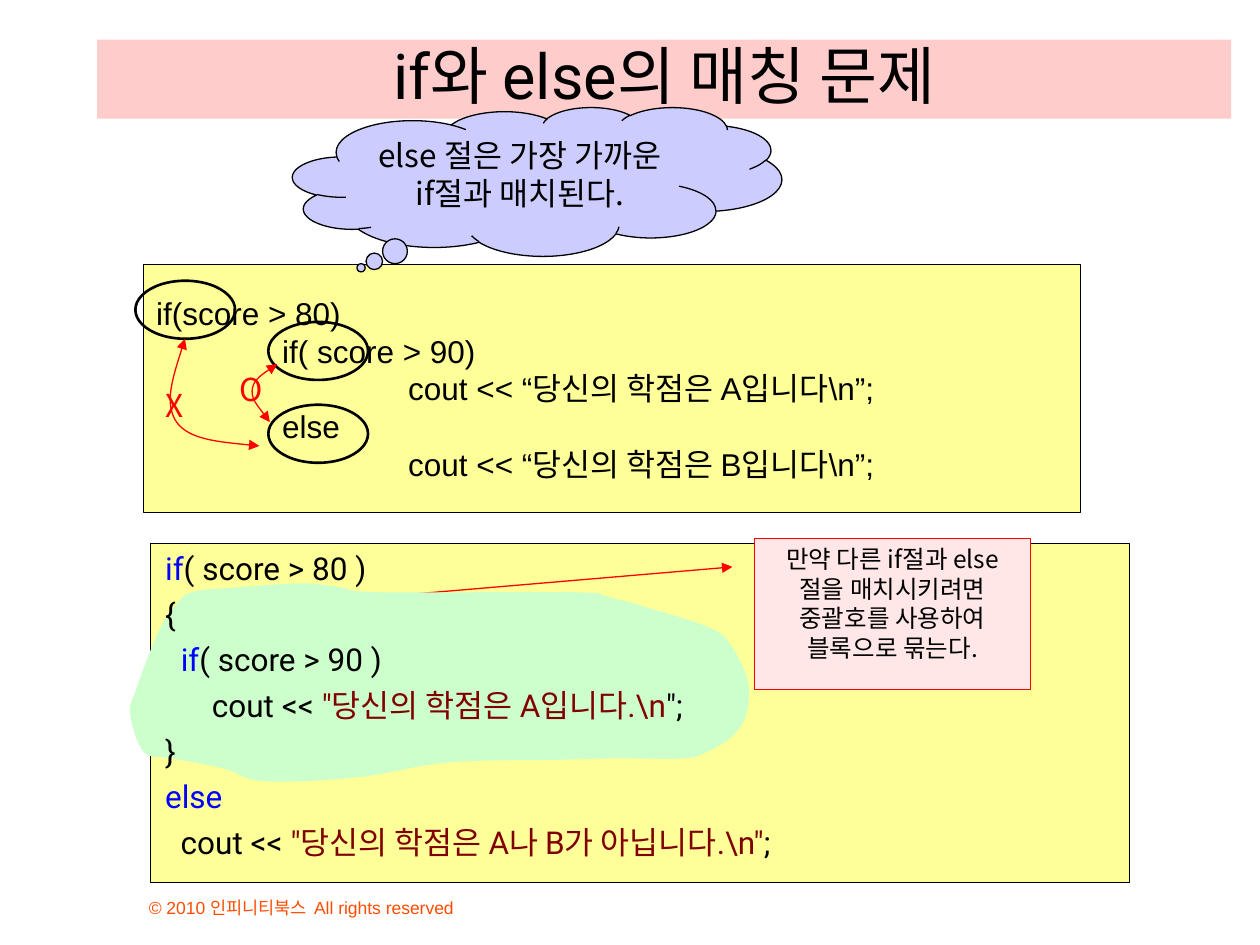
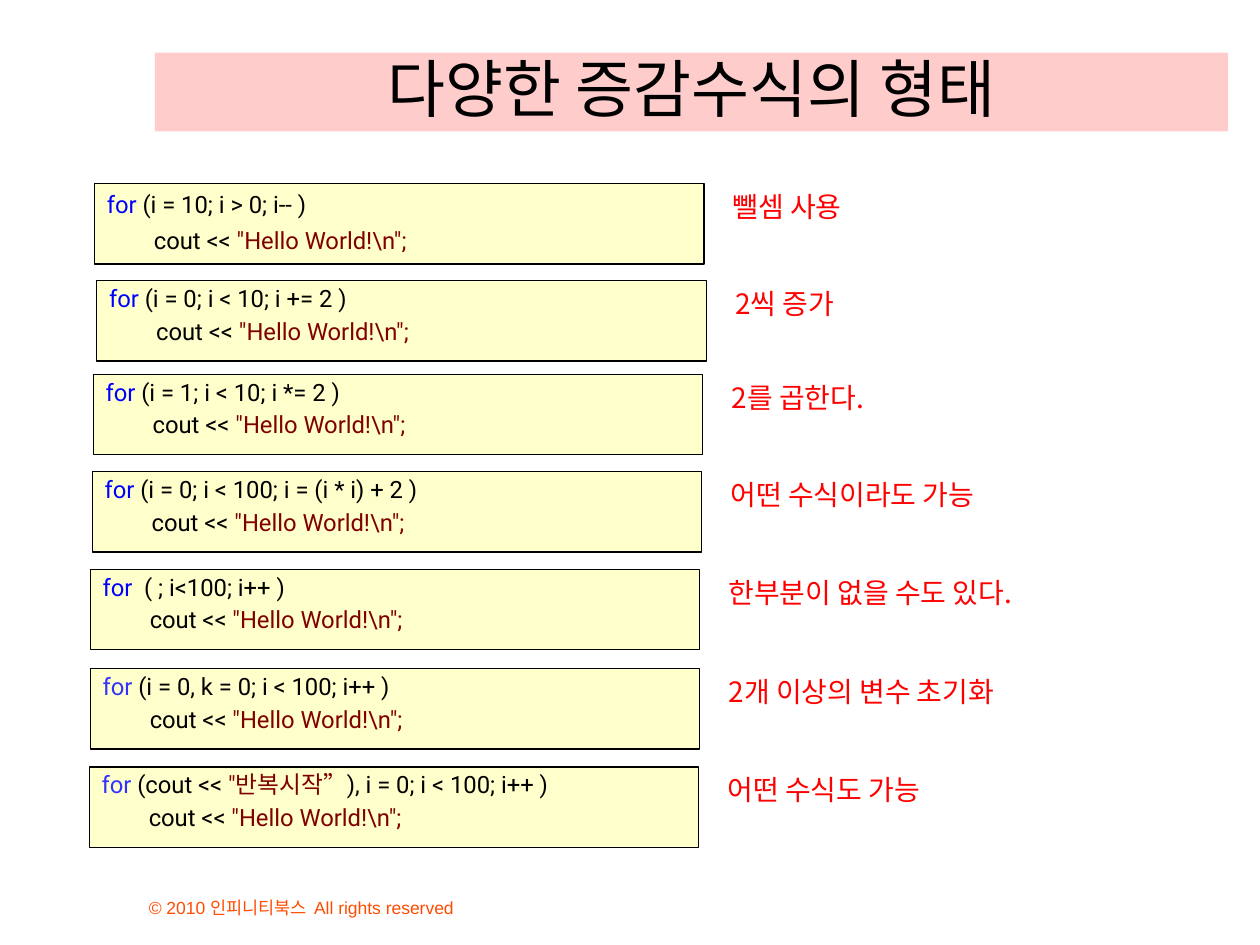
from lxml import etree
from pptx import Presentation
from pptx.dml.color import RGBColor
from pptx.enum import shapes, text
from pptx.oxml import ns
from pptx.util import Cm, Pt

BLACK, RED, BLUE, PALE_BLUE, MAROON = "000000", "FF0000", "0000FF", "3333FF", "800000"
PINK, ROSE, YELLOW, CREAM = "FFCCCC", "FFE7E7", "FFFF99", "FFFFCC"
LILAC, MINT, ORANGE = "CCCCFF", "CCFFCC", "FF4C00"
SANS, CODE, KOREAN = "Arial", "Roboto", "Noto Sans CJK KR"
FOOTER = "© 2010 인피니티북스  All rights reserved"
HANG = 0.95
TAB = 2.54

SCORE_CODE = [
    "if(score > 80)",
    "\tif( score > 90)",
    "\t\tcout << “당신의 학점은 A입니다\\n”;",
    "\telse",
    "\t\tcout << “당신의 학점은 B입니다\\n”;",
]
BLOCK_CODE = [
    [("if", BLUE), "( score > 80 )"],
    "{",
    ["  ", ("if", BLUE), "( score > 90 )"],
    ["      cout << ", ('"당신의 학점은 A입니다.\\n', MAROON), '";'],
    "}",
    [("else", BLUE)],
    ["  cout << ", ('"당신의 학점은 A나 B가 아닙니다.\\n"', MAROON), ";"],
]
BLOCK_OUTLINE = [
    (4.78, 11.84), (3.86, 11.94), (3.53, 12.22), (3.25, 12.62), (2.97, 13.28),
    (2.74, 13.92), (2.62, 14.38), (2.9, 15.16), (3.48, 15.29), (4.5, 15.49),
    (5.33, 15.75), (7.21, 15.67), (9.04, 15.37), (11.2, 15.32), (12.37, 15.29),
    (13.79, 15.29), (14.25, 15.16), (14.78, 14.83), (15.06, 14.35), (15.06, 13.67),
    (14.66, 12.9), (14.22, 12.62), (13.46, 12.37), (12.29, 12.04), (11.58, 11.94),
    (7.67, 11.94), (6.86, 11.84), (6.1, 11.76),
]
WRONG_MATCH = [(3.73, 6.83), (3.53, 7.47), (3.3, 8.13), (3.56, 8.51),
               (3.81, 8.86), (4.52, 8.92), (5.23, 8.99)]
RIGHT_MATCH = [(5.59, 7.34), (5.36, 7.49), (5.13, 7.65), (5.09, 7.82),
               (5.05, 8.03), (5.26, 8.26), (5.44, 8.51)]

LOOPS = [
    (1.9, 3.7, BLUE, [" (i = 10; i > 0; i-- )"], "뺄셈 사용"),
    (1.95, 5.66, BLUE, [" (i = 0; i < 10; i += 2 )"], "2씩 증가"),
    (1.88, 7.55, BLUE, [" (i = 1; i < 10; i *= 2 )"], "2를 곱한다."),
    (1.86, 9.51, BLUE, [" (i = 0; i < 100; i = (i * i) + 2 )"], "어떤 수식이라도 가능"),
    (1.82, 11.48, BLUE, ["  ( ; i<100; i++ )"], "한부분이 없을 수도 있다."),
    (1.82, 13.48, PALE_BLUE, [" (i = 0, k = 0; i < 100; i++ )"], "2개 이상의 변수 초기화"),
    (1.8, 15.46, PALE_BLUE,
     [" (cout << ", ('"반복시작”', MAROON), "), i = 0; i < 100; i++ )"], "어떤 수식도 가능"),
]


def color(value):
    return RGBColor.from_string(value)


def apply(target, values):
    for name, value in values.items():
        setattr(target, name, value)


def place(shape, at):
    apply(shape, dict(zip(("left", "top", "width", "height"), map(Cm, at))))


def paint(shape, fill=None, line=None, width=0.75):
    if fill:
        shape.fill.solid()
        shape.fill.fore_color.rgb = color(fill)
    else:
        shape.fill.background()
    if line:
        shape.line.color.rgb = color(line)
        shape.line.width = Pt(width)
    else:
        shape.line.fill.background()


def add_arrowheads(shape, *ends):
    outline = shape.line._get_or_add_ln()
    for end in ends:
        etree.SubElement(outline, ns.qn(f"a:{end}"), type="triangle")


def indent(para, hang):
    props = para._p.get_or_add_pPr()
    for name, value in (("marL", hang), ("indent", -hang), ("defTabSz", TAB)):
        props.set(name, str(int(Cm(value))))
    etree.SubElement(props, ns.qn("a:buNone"))
    stops = etree.SubElement(props, ns.qn("a:tabLst"))
    for number in range(8):
        etree.SubElement(stops, ns.qn("a:tab"), pos=str(int(Cm(TAB * number))), algn="l")


def write(shape, lines, size, font, ink=BLACK, align="LEFT", anchor="TOP", wrap=True,
          hang=0, before=0, spacing=None):
    frame = shape.text_frame
    apply(frame, {
        "word_wrap": wrap,
        "auto_size": text.MSO_AUTO_SIZE.NONE,
        "vertical_anchor": getattr(text.MSO_ANCHOR, anchor),
    })
    for number, line in enumerate(lines):
        para = frame.add_paragraph() if number else frame.paragraphs[0]
        apply(para, {
            "alignment": getattr(text.PP_ALIGN, align),
            "space_before": Pt(before if number else 0),
            "line_spacing": spacing,
        })
        indent(para, hang)
        for piece in [line] if isinstance(line, str) else line:
            words, shade = (piece, ink) if isinstance(piece, str) else piece
            span = para.add_run()
            span.text = words
            apply(span.font, {"name": font, "size": Pt(size)})
            span.font.color.rgb = color(shade)


def add_box(page, kind, at, fill=None, line=None, width=0.75):
    box = page.shapes.add_shape(getattr(shapes.MSO_SHAPE, kind), *map(Cm, at))
    box.shadow.inherit = False
    paint(box, fill, line, width)
    return box


def add_label(page, at, lines, size, font, **style):
    write(page.shapes.add_textbox(*map(Cm, at)), lines, size, font, **style)


def smooth(knots):
    count = len(knots)
    points = [knots[0]]
    for index in range(count):
        around = (knots[(index + shift) % count] for shift in (-1, 0, 1, 2))
        axes = [(b + (c - a) / 6, c - (d - b) / 6, c) for a, b, c, d in zip(*around)]
        points += zip(*axes)
    return points


def add_curve(page, points, fill=None, line=None):
    spots = [(Cm(x), Cm(y)) for x, y in points]
    builder = page.shapes.build_freeform(*spots[0])
    builder.add_line_segments(spots[3::3], close=bool(fill))
    curve = builder.convert_to_shape()
    segments = list(curve._element.iter(ns.qn("a:lnTo")))
    for number, segment in enumerate(segments):
        bend = etree.Element(ns.qn("a:cubicBezTo"))
        for x, y in spots[3 * number + 1:3 * number + 4]:
            etree.SubElement(bend, ns.qn("a:pt"), x=str(x - curve.left), y=str(y - curve.top))
        segment.getparent().replace(segment, bend)
    curve.shadow.inherit = False
    paint(curve, fill, line)
    return curve


def add_page(deck, layout, title, band):
    page = deck.slides.add_slide(deck.slide_layouts.get_by_name(layout))
    add_label(page, (2.75, 17.56, 9.73, 1.07), [FOOTER], 10, SANS, ink=ORANGE, anchor="BOTTOM")
    heading = page.shapes.title
    place(heading, band)
    paint(heading, PINK)
    write(heading, [title], 36, CODE, align="CENTER", anchor="BOTTOM")
    return page


def build_matching(deck):
    page = add_page(deck, "Title Only", "if와 else의 매칭 문제", (1.96, 0.8, 22.86, 1.59))
    add_box(page, "RECTANGLE", (3.04, 10.96, 19.73, 6.83), YELLOW, BLACK)
    score = add_box(page, "RECTANGLE", (2.9, 5.33, 18.88, 5), YELLOW, BLACK)
    write(score, SCORE_CODE, 18, SANS, anchor="MIDDLE")

    for left, top in ((5.41, 8.16), (5.41, 6.49), (2.73, 5.66)):
        add_box(page, "OVAL", (left, top, 2.01, 1.17), None, BLACK, 1.5)
    for points in (RIGHT_MATCH, WRONG_MATCH):
        add_arrowheads(add_curve(page, points, line=RED), "headEnd", "tailEnd")
    for mark, at in (("X", (3.08, 7.66, 0.86, 1.02)), ("O", (4.57, 7.33, 0.99, 1.02))):
        add_label(page, at, [mark], 18, KOREAN, ink=RED, wrap=False)

    cloud = add_box(page, "CLOUD_CALLOUT", (5.9, 2.16, 9.86, 3), LILAC, BLACK)
    cloud.adjustments[0], cloud.adjustments[1] = -0.36, 0.58
    write(cloud, ["else 절은 가장 가까운 if절과 매치된다."], 18, KOREAN, align="CENTER")

    advice = add_box(page, "LINE_CALLOUT_1", (15.21, 10.85, 5.57, 3.05), ROSE, RED)
    for index, value in enumerate((0.19, -0.08, 0.49, -2.01)):
        advice.adjustments[index] = value
    add_arrowheads(advice, "headEnd")
    write(advice, ["만약 다른 if절과 else 절을 매치시키려면 중괄호를 사용하여 블록으로 묶는다."],
          14, KOREAN, align="CENTER")

    add_curve(page, smooth(BLOCK_OUTLINE), MINT)
    add_label(page, (3.08, 10.94, 19.74, 6.83), BLOCK_CODE, 18, CODE, hang=HANG, before=4.5)


def build_loops(deck):
    page = add_page(deck, "Title and Content", "다양한 증감수식의 형태", (3.12, 1.06, 21.64, 1.59))
    for number, (left, top, keyword, header, note) in enumerate(LOOPS):
        at = (left, top, 12.29, 1.62)
        if number:
            box = add_box(page, "RECTANGLE", at, CREAM, BLACK)
        else:
            box = page.placeholders[1]
            place(box, at)
            paint(box, CREAM, BLACK)
        lines = [[("for", keyword), *header], ["\tcout << ", ('"Hello World!\\n";', MAROON)]]
        write(box, lines, 13.6, CODE, hang=HANG, before=4, spacing=0.9 if number else 1.0)
        add_label(page, (left + 12.62, top - 0.01, 8.28, 1.62), [note], 16, KOREAN,
                  ink=RED, hang=HANG)


def main():
    deck = Presentation()
    deck.slide_width, deck.slide_height = Cm(25.4), Cm(19.05)
    build_matching(deck)
    build_loops(deck)
    deck.save("out.pptx")


if __name__ == "__main__":
    main()
